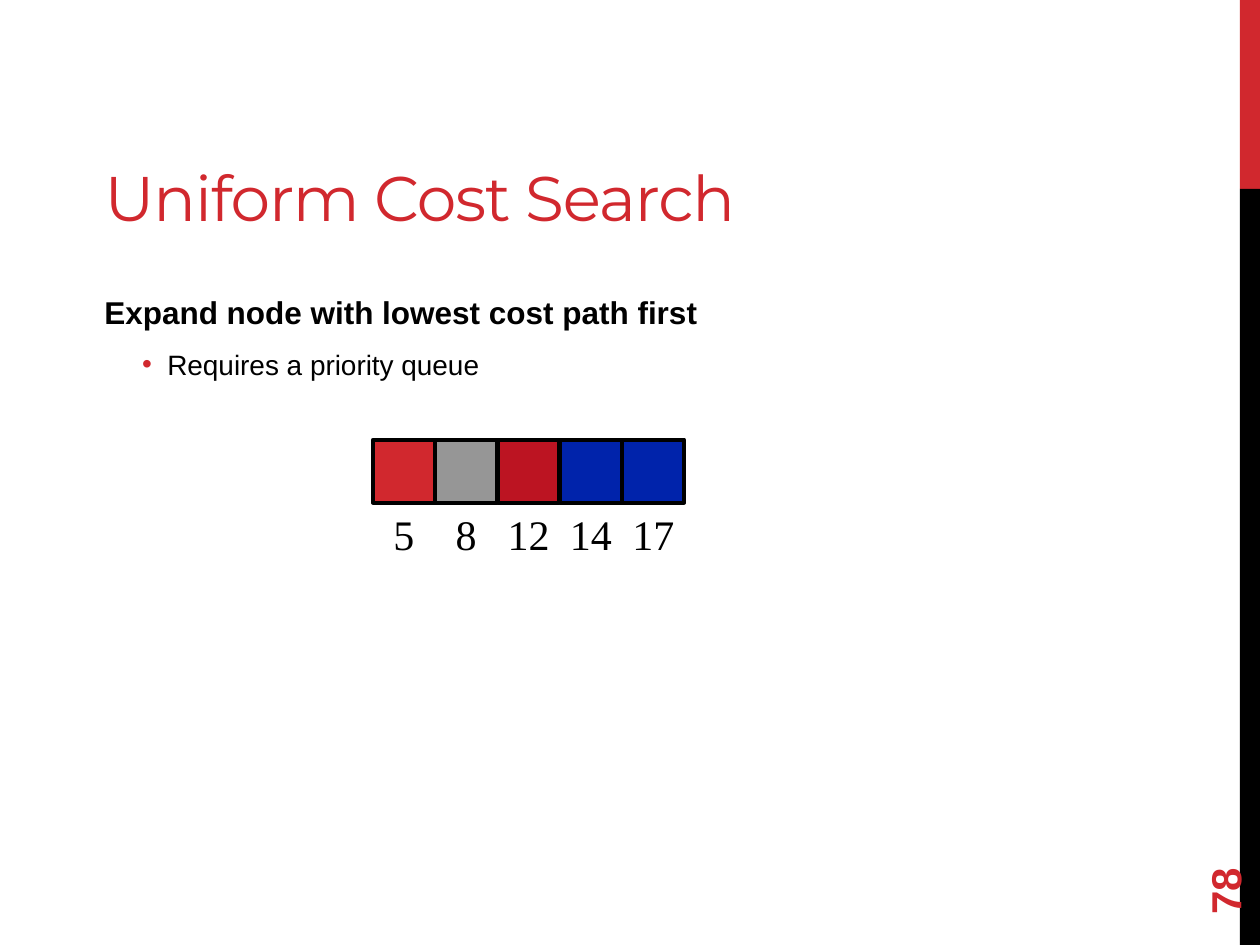
from dataclasses import dataclass

from lxml import etree
from pptx import Presentation
from pptx.dml.color import RGBColor
from pptx.enum.shapes import MSO_SHAPE
from pptx.enum.text import MSO_ANCHOR, PP_ALIGN
from pptx.oxml.ns import qn
from pptx.util import Inches, Pt

RECT = MSO_SHAPE.RECTANGLE
MIDDLE, BOTTOM = MSO_ANCHOR.MIDDLE, MSO_ANCHOR.BOTTOM
LEFT, CENTER = PP_ALIGN.LEFT, PP_ALIGN.CENTER

COLORS = {
    "red": "D1282E",
    "black": "000000",
    "gray": "969696",
    "crimson": "BC1422",
    "blue": "0023AB",
}

QUEUE_LEFT, QUEUE_TOP = 2.96, 3.49
CELL_PITCH, CELL_WIDTH, CELL_HEIGHT = 0.495, 0.49, 0.5
LABEL_WIDTH = 0.57


@dataclass
class QueueNode:
    cost: int
    color: str


QUEUE = [
    QueueNode(5, "red"),
    QueueNode(8, "gray"),
    QueueNode(12, "crimson"),
    QueueNode(14, "blue"),
    QueueNode(17, "blue"),
]


def rgb(name: str) -> RGBColor:
    return RGBColor.from_string(COLORS[name])


def style(p, font: str, size: float, color: str, bold: bool = False, align=LEFT) -> None:
    p.alignment = align
    for r in p.runs:
        r.font.name = font
        r.font.size = Pt(size)
        r.font.bold = bold
        r.font.color.rgb = rgb(color)


def add_rect(s, left: float, top: float, width: float, height: float,
             color: str, outlined: bool = False) -> None:
    sp = s.shapes.add_shape(RECT, Inches(left), Inches(top), Inches(width), Inches(height))
    sp.shadow.inherit = False
    sp.fill.solid()
    sp.fill.fore_color.rgb = rgb(color)
    if outlined:
        sp.line.color.rgb = rgb("black")
        sp.line.width = Pt(2.25)
    else:
        sp.line.fill.background()


def add_text(s, left: float, top: float, width: float, height: float,
             text: str, wrap: bool = True):
    sp = s.shapes.add_textbox(Inches(left), Inches(top), Inches(width), Inches(height))
    sp.text_frame.word_wrap = wrap
    sp.text_frame.text = text
    return sp


def add_bullet(p, color: str) -> None:
    pPr = p._p.get_or_add_pPr()
    pPr.set("marL", str(Inches(0.5)))
    pPr.set("indent", str(Inches(-0.2)))
    clr = etree.SubElement(pPr, qn("a:buClr"))
    etree.SubElement(clr, qn("a:srgbClr"), val=COLORS[color])
    etree.SubElement(pPr, qn("a:buFont"), typeface="Arial")
    etree.SubElement(pPr, qn("a:buChar"), char="•")


def add_title(s) -> None:
    title = s.shapes.title
    title.left, title.top = Inches(0.73), Inches(0.66)
    title.width, title.height = Inches(8.5), Inches(1.25)
    tf = title.text_frame
    tf.text = "Uniform Cost Search"
    tf.vertical_anchor = BOTTOM
    p = tf.paragraphs[0]
    style(p, "Montserrat", 36, "red")
    p.runs[0].font._element.set("spc", "-60")


def add_body(s) -> None:
    tf = add_text(s, 0.73, 2.28, 8.5, 5.22,
                  "Expand node with lowest cost path first\nRequires a priority queue").text_frame
    heading, detail = tf.paragraphs
    style(heading, "Arial", 18, "black", bold=True)
    heading.space_before, heading.space_after = Pt(3.6), Pt(6)
    style(detail, "Arial", 16, "black")
    detail.level = 1
    detail.space_before = Pt(3.2)
    add_bullet(detail, "red")


def add_queue_node(s, index: int, node: QueueNode) -> None:
    left = QUEUE_LEFT + index * CELL_PITCH
    add_rect(s, left, QUEUE_TOP, CELL_WIDTH, CELL_HEIGHT, node.color, outlined=True)
    label = add_text(s, left + (CELL_WIDTH - LABEL_WIDTH) / 2, QUEUE_TOP + CELL_HEIGHT,
                     LABEL_WIDTH, 0.5, str(node.cost), wrap=False)
    style(label.text_frame.paragraphs[0], "Times New Roman", 24, "black", align=CENTER)


def main() -> None:
    prs = Presentation()
    prs.slide_width, prs.slide_height = Inches(10), Inches(7.5)
    s = prs.slides.add_slide(prs.slide_layouts[5])

    add_rect(s, 9.84, 0, 0.16, 1.5, "red")
    add_rect(s, 9.84, 1.5, 0.16, 6, "black")
    number = add_text(s, 9, 6.44, 1.44, 0.4, "78")
    number.rotation = 270
    number.text_frame.vertical_anchor = MIDDLE
    style(number.text_frame.paragraphs[0], "Arial", 24, "red", bold=True)

    add_title(s)
    add_body(s)
    for index, node in enumerate(QUEUE):
        add_queue_node(s, index, node)

    prs.save("out.pptx")


if __name__ == "__main__":
    main()
